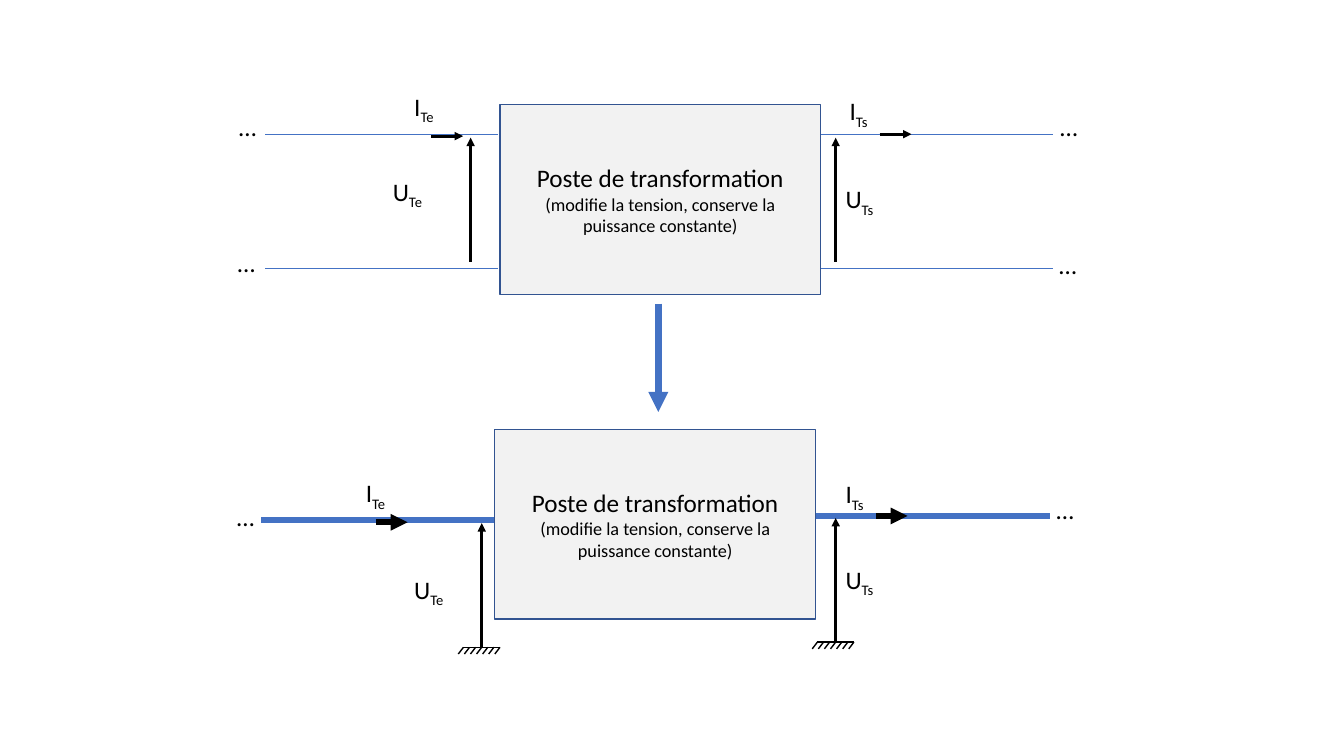
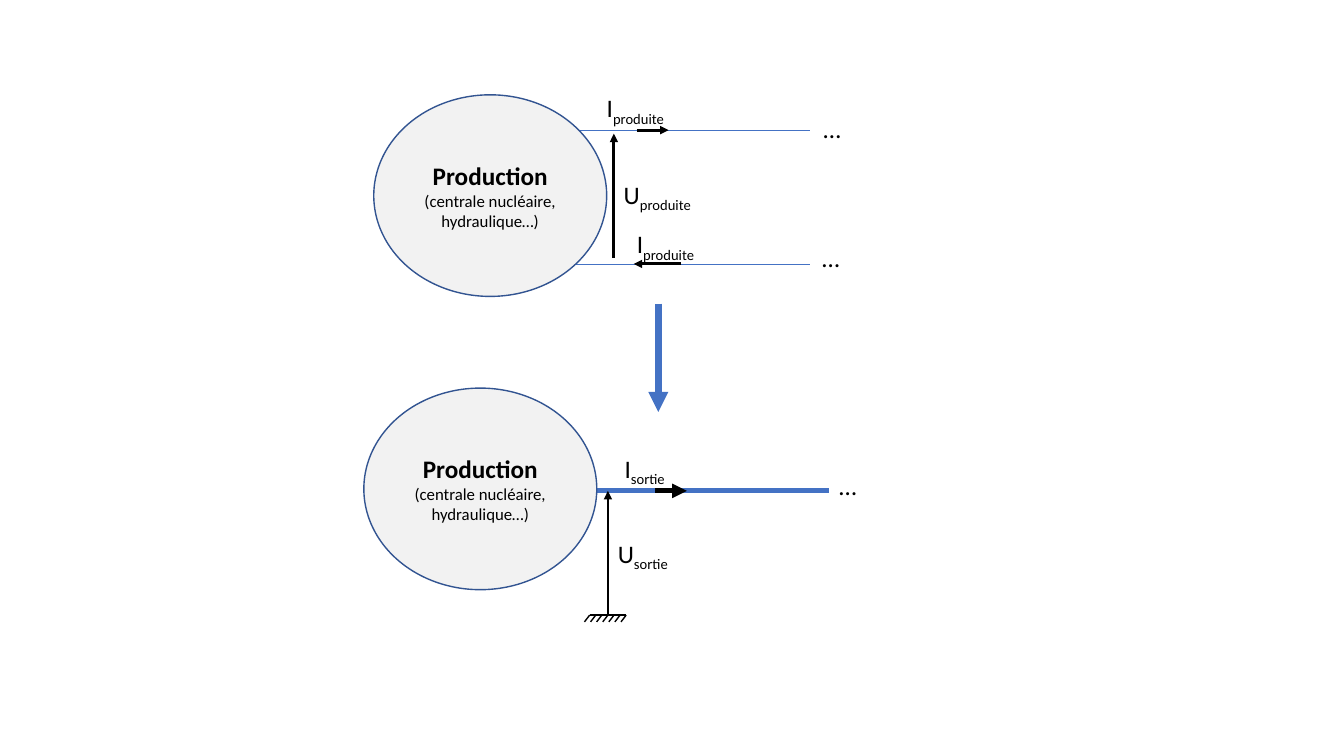
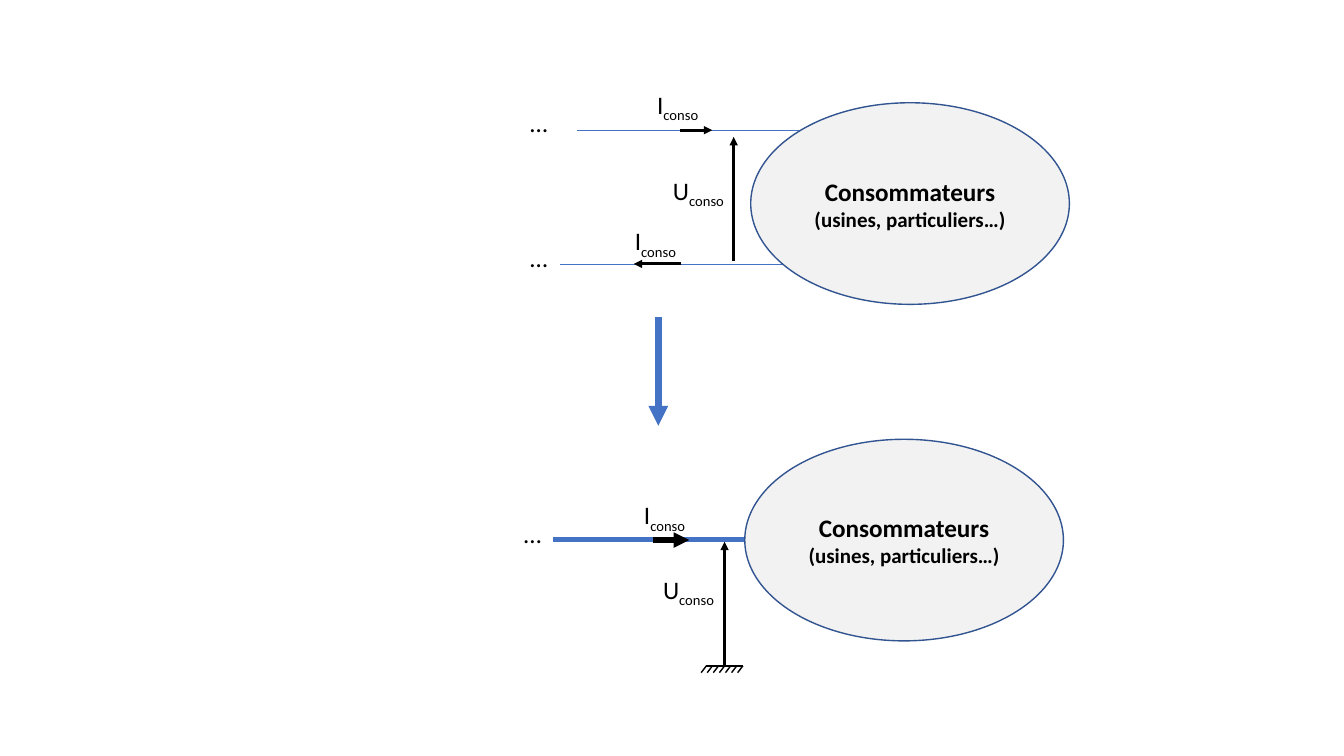
import pptx
import pptx.util
import pptx.dml.color
import pptx.enum.shapes
import pptx.enum.text
import pptx.oxml
import pptx.oxml.ns

Cm = pptx.util.Cm
Pt = pptx.util.Pt
RECTANGLE = pptx.enum.shapes.MSO_SHAPE.RECTANGLE
ELLIPSE = pptx.enum.shapes.MSO_SHAPE.OVAL


def colour(value):
    return pptx.dml.color.RGBColor.from_string(value)


def add_child(parent, tag, **attributes):
    child = pptx.oxml.parse_xml(f"<a:{tag} {pptx.oxml.ns.nsdecls('a')}/>")
    for name, value in attributes.items():
        child.set(name, value)
    parent.append(child)


class Schematic:
    FONT = "Calibri"
    BLACK = "000000"
    BLUE = "4472C4"
    EDGE = "325491"
    PALE = "F2F2F2"
    SIZE = 18

    def __init__(self):
        self.deck = pptx.Presentation()
        self.deck.slide_width = Cm(33.87)
        self.deck.slide_height = Cm(19.05)
        self.page = None

    def new_page(self):
        self.page = self.deck.slides.add_slide(self.deck.slide_layouts[6])

    def line(self, start, end, width, shade, arrow=False):
        connector = self.page.shapes.add_connector(
            pptx.enum.shapes.MSO_CONNECTOR.STRAIGHT,
            *(Cm(value) for value in (*start, *end)))
        connector.line.color.rgb = colour(shade)
        connector.line.width = Pt(width)
        properties = connector._element.spPr
        if arrow:
            add_child(properties.find(pptx.oxml.ns.qn("a:ln")), "tailEnd", type="triangle")
        add_child(properties, "effectLst")

    def wire(self, left, right, level, width=0.5):
        self.line((left, level), (right, level), width, self.BLUE)

    def current(self, left, level, width=2, length=0.8):
        self.line((left, level), (left + length, level), width, self.BLACK, True)

    def voltage(self, centre, foot):
        self.line((centre, foot), (centre, foot - 3.13), 2, self.BLACK, True)

    def grounded_voltage(self, centre, foot):
        self.voltage(centre, foot)
        left, right = centre - 0.46, centre + 0.46
        self.line((left, foot), (right, foot), 1, self.BLACK)
        for tooth in range(7):
            top = left + tooth * (right - left) / 6
            self.line((top, foot), (top - 0.13, foot + 0.17), 1, self.BLACK)

    def becomes(self, top):
        self.line((16.59, top), (16.59, top + 2.73), 4.75, self.BLUE, True)

    def add_span(self, para, text, size=SIZE, bold=False):
        span = para.add_run()
        span.text = text
        span.font.name = self.FONT
        span.font.size = Pt(size)
        span.font.bold = bold
        span.font.color.rgb = colour(self.BLACK)
        return span

    def label(self, left, top, width, symbol, index=None):
        box = self.page.shapes.add_textbox(Cm(left), Cm(top), Cm(width), Cm(1.02))
        box.text_frame.word_wrap = True
        box.text_frame.auto_size = pptx.enum.text.MSO_AUTO_SIZE.SHAPE_TO_FIT_TEXT
        para = box.text_frame.paragraphs[0]
        self.add_span(para, symbol)
        if index:
            span = self.add_span(para, index)
            span._r.get_or_add_rPr().set("baseline", "-25000")

    def dots(self, *corners):
        for left, top in corners:
            self.label(left, top, 0.84, "…")

    def node(self, kind, corner, size, paragraphs):
        box = self.page.shapes.add_shape(kind, *(Cm(value) for value in (*corner, *size)))
        box.shadow.inherit = False
        box.fill.solid()
        box.fill.fore_color.rgb = colour(self.PALE)
        box.line.color.rgb = colour(self.EDGE)
        box.line.width = Pt(1)
        frame = box.text_frame
        frame.word_wrap = True
        frame.vertical_anchor = pptx.enum.text.MSO_ANCHOR.MIDDLE
        for number, spans in enumerate(paragraphs):
            para = frame.add_paragraph() if number else frame.paragraphs[0]
            para.alignment = pptx.enum.text.PP_ALIGN.CENTER
            for span in spans:
                self.add_span(para, *span)


def transformer_page(schematic):
    schematic.new_page()
    for level in (3.38, 6.76):
        schematic.wire(6.68, 12.55, level)
        schematic.wire(20.68, 26.54, level)
    schematic.wire(6.58, 12.47, 13.11, 4)
    schematic.wire(20.57, 26.47, 13, 4)
    text = [[("Poste de transformation",)],
            [("(modifie la tension, conserve la puissance constante)", 13)]]
    for corner in ((12.6, 2.64), (12.47, 10.82)):
        schematic.node(RECTANGLE, corner, (8.08, 4.78), text)
    schematic.voltage(11.86, 6.6)
    schematic.voltage(21.06, 6.6)
    schematic.grounded_voltage(12.14, 16.31)
    schematic.grounded_voltage(21.06, 16.18)
    schematic.current(10.87, 3.43)
    schematic.current(22.17, 3.38)
    schematic.current(9.47, 13.16, 4)
    schematic.current(22.07, 13, 4)
    schematic.becomes(7.65)
    for left, top, index in ((9.65, 4.32, "Te"), (21.06, 4.5, "Ts"),
                             (10.19, 14.35, "Te"), (21.06, 14.1, "Ts")):
        schematic.label(left, top, 2.24, "U", index)
    for left, top, index in ((10.19, 2.18, "Te"), (21.16, 2.29, "Ts"),
                             (8.97, 11.91, "Te"), (21.06, 11.94, "Ts")):
        schematic.label(left, top, 2.03, "I", index)
    schematic.dots((5.77, 2.67), (5.74, 6.1), (26.47, 2.69), (26.44, 6.15),
                   (26.37, 12.32), (5.72, 12.5))


def wire_pair(schematic):
    schematic.wire(14.55, 20.42, 3.28)
    schematic.wire(14.12, 20.42, 6.65)
    schematic.current(17.17, 6.65, length=-1.2)


def production_page(schematic):
    schematic.new_page()
    wire_pair(schematic)
    schematic.wire(15.01, 20.9, 12.37, 3.5)
    schematic.voltage(15.47, 6.5)
    schematic.grounded_voltage(15.32, 15.5)
    schematic.current(16.05, 3.28)
    schematic.current(16.51, 12.37, 3.5)
    schematic.becomes(7.65)
    text = [[("Production ", 18, True), ("(centrale nucléaire, hydraulique…)", 12)]]
    for corner in ((9.42, 2.39), (9.17, 9.78)):
        schematic.node(ELLIPSE, corner, (5.87, 5.08), text)
    schematic.label(15.47, 4.39, 2.95, "U", "produite")
    schematic.label(15.04, 2.21, 2.97, "I", "produite")
    schematic.label(15.8, 5.64, 2.97, "I", "produite")
    schematic.label(15.32, 13.44, 2.24, "U", "sortie")
    schematic.label(15.49, 11.3, 2.03, "I", "sortie")
    schematic.dots((20.5, 2.72), (20.47, 5.99), (20.9, 11.73))


def consumer_page(schematic):
    schematic.new_page()
    wire_pair(schematic)
    schematic.wire(13.94, 19.02, 13.6, 3.25)
    schematic.voltage(18.49, 6.58)
    schematic.grounded_voltage(18.26, 16.78)
    schematic.current(17.15, 3.28)
    schematic.current(16.46, 13.61, 3.75, 0.91)
    schematic.becomes(8)
    text = [[("Consommateurs", 18, True)], [("(usines, particuliers…)", 15, True)]]
    for corner in ((18.92, 2.59), (18.77, 11.07)):
        schematic.node(ELLIPSE, corner, (8.03, 5.08), text)
    for left, top, width, symbol in ((16.71, 4.29, 2.24, "U"), (16.31, 2.13, 2.97, "I"),
                                     (15.75, 5.56, 1.83, "I"), (16.46, 14.35, 2.24, "U"),
                                     (15.98, 12.47, 2.03, "I")):
        schematic.label(left, top, width, symbol, "conso")
    schematic.dots((13.11, 2.59), (13.11, 5.99), (12.95, 12.93))


def main():
    schematic = Schematic()
    transformer_page(schematic)
    production_page(schematic)
    consumer_page(schematic)
    schematic.deck.save("out.pptx")


if __name__ == "__main__":
    main()
